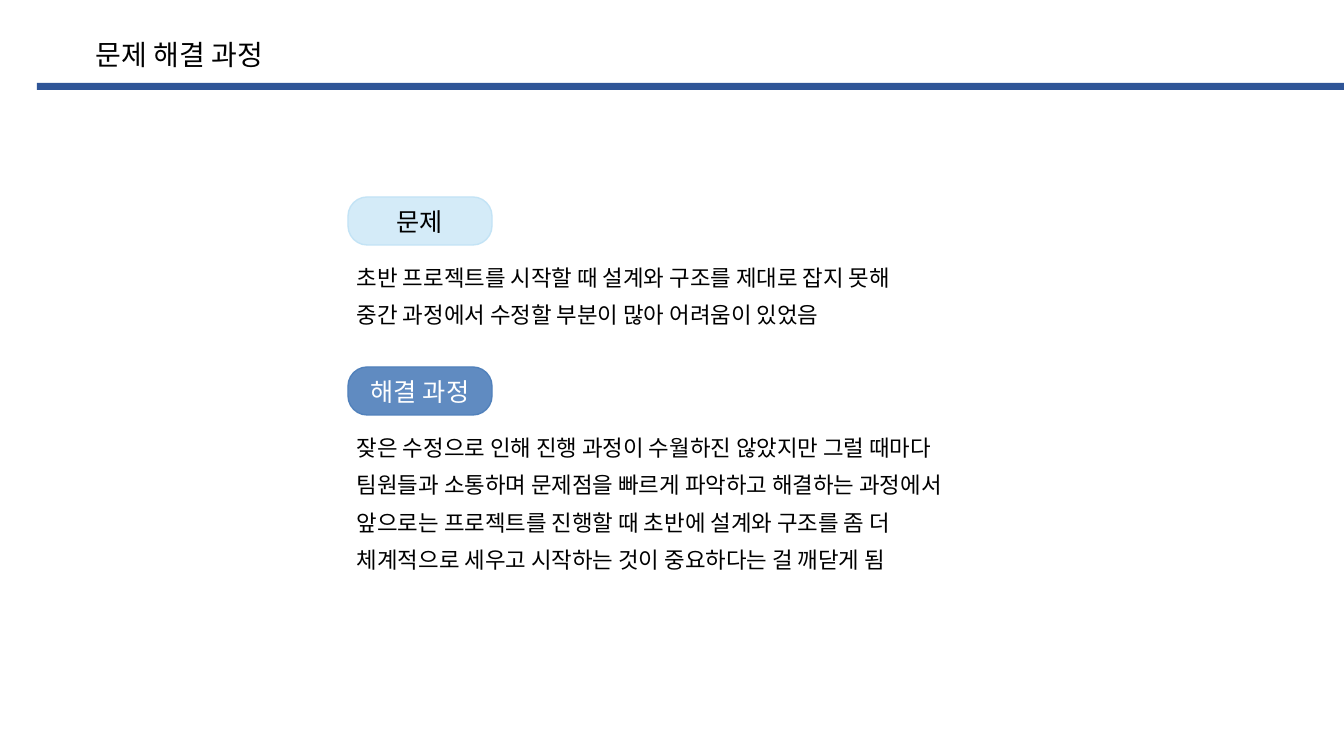
from lxml import etree
from pptx import Presentation, util as u
from pptx.dml.color import RGBColor
from pptx.enum import shapes, text
from pptx.oxml.ns import qn

PX = u.Inches(1) / 100.8
FONT = "Noto Sans CJK KR"
BLACK = RGBColor(0x00, 0x00, 0x00)
WHITE = RGBColor(0xFF, 0xFF, 0xFF)
NAVY = RGBColor(0x2F, 0x55, 0x97)
BLUE = RGBColor(0x60, 0x8B, 0xC1)
BLUE_EDGE = RGBColor(0x51, 0x81, 0xBB)
SKY = RGBColor(0xD4, 0xEB, 0xF8)
SKY_EDGE = RGBColor(0xC3, 0xE3, 0xF5)


def px(*lengths):
    return [u.Emu(round(length * PX)) for length in lengths]


def write(shape, words, size=16, color=BLACK, align=None, anchor=None, grow=True):
    frame = shape.text_frame
    frame.word_wrap = not grow
    if grow:
        frame.auto_size = text.MSO_AUTO_SIZE.SHAPE_TO_FIT_TEXT
    frame.vertical_anchor = anchor
    paragraph = frame.paragraphs[0]
    paragraph.alignment = align
    run = paragraph.add_run()
    run.text = words
    run.font.size = u.Pt(size)
    run.font.color.rgb = color
    run.font.name = FONT
    etree.SubElement(run.font._element, qn("a:ea"), typeface=FONT)


prs = Presentation()
prs.slide_width, prs.slide_height = px(1344, 756)
slide = prs.slides.add_slide(prs.slide_layouts[6])

title_rule = slide.shapes.add_shape(shapes.MSO_SHAPE.RECTANGLE, *px(37, 83, 1307, 7))
title_rule.shadow.inherit = False
title_rule.fill.solid()
title_rule.fill.fore_color.rgb = NAVY
title_rule.line.fill.background()

title = slide.shapes.add_textbox(*px(86, 33, 210, 44))
write(title, "문제 해결 과정", size=20)

sections = [
    ("문제", 197, SKY, SKY_EDGE, BLACK, [
        ("초반 프로젝트를 시작할 때 설계와 구조를 제대로 잡지 못해", 627),
        ("중간 과정에서 수정할 부분이 많아 어려움이 있었음", 543),
    ]),
    ("해결 과정", 367, BLUE, BLUE_EDGE, WHITE, [
        ("잦은 수정으로 인해 진행 과정이 수월하진 않았지만 그럴 때마다", 672),
        ("팀원들과 소통하며 문제점을 빠르게 파악하고 해결하는 과정에서", 678),
        ("앞으로는 프로젝트를 진행할 때 초반에 설계와 구조를 좀 더", 627),
        ("체계적으로 세우고 시작하는 것이 중요하다는 걸 깨닫게 됨", 619),
    ]),
]

for heading, top, fill, edge, color, sentences in sections:
    badge = slide.shapes.add_shape(
        shapes.MSO_SHAPE.ROUNDED_RECTANGLE, *px(348, top, 144, 48))
    badge.adjustments[0] = 0.4
    badge.shadow.inherit = False
    badge.fill.solid()
    badge.fill.fore_color.rgb = fill
    badge.line.color.rgb = edge
    badge.line.width = u.Pt(1)
    write(badge, heading, size=18, color=color, align=text.PP_ALIGN.CENTER,
          anchor=text.MSO_ANCHOR.MIDDLE, grow=False)

    for row, (sentence, width) in enumerate(sentences):
        line_top = top + 62 + row * 75 // 2
        line = slide.shapes.add_textbox(*px(347, line_top, width, 37))
        write(line, sentence)

prs.save("out.pptx")
